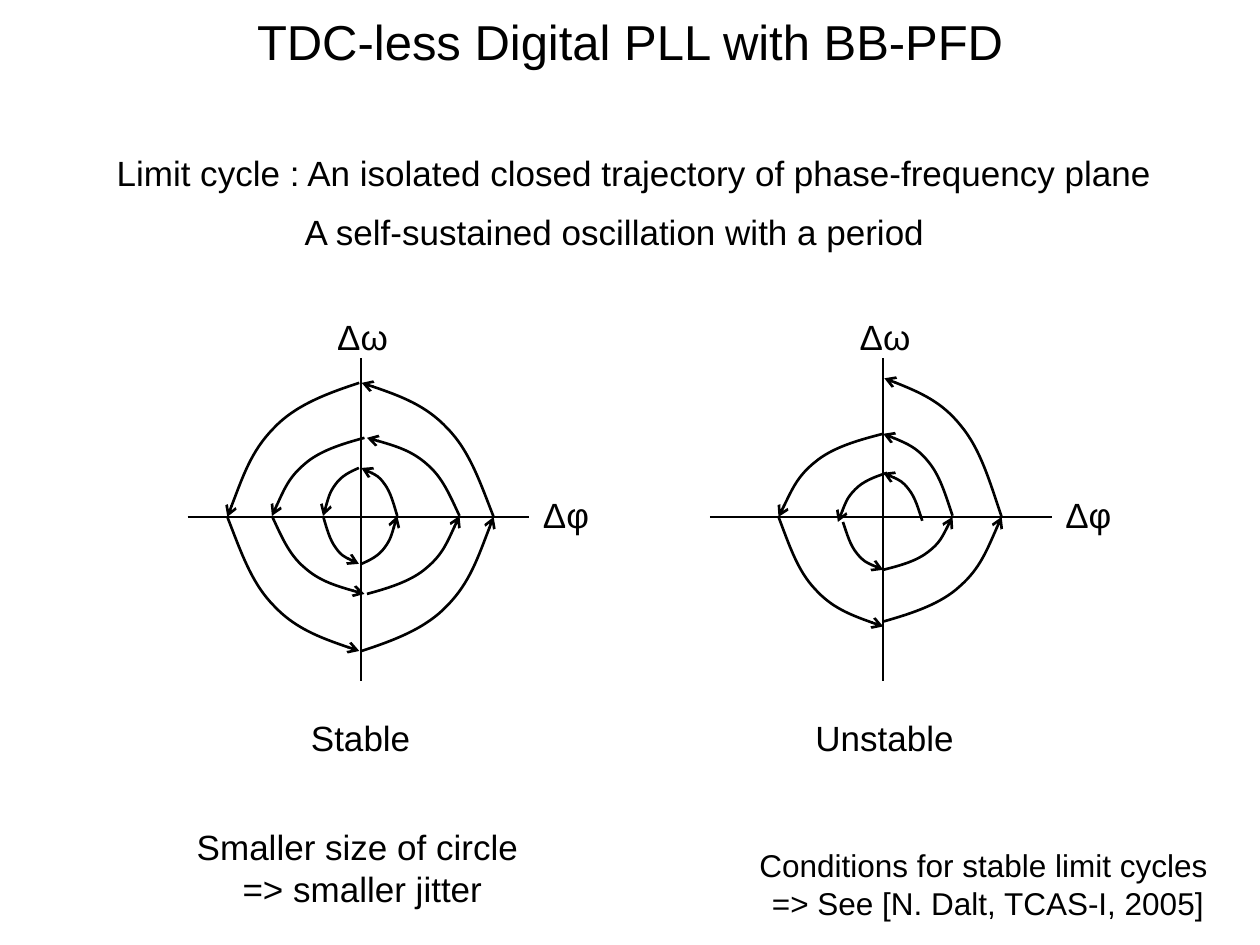
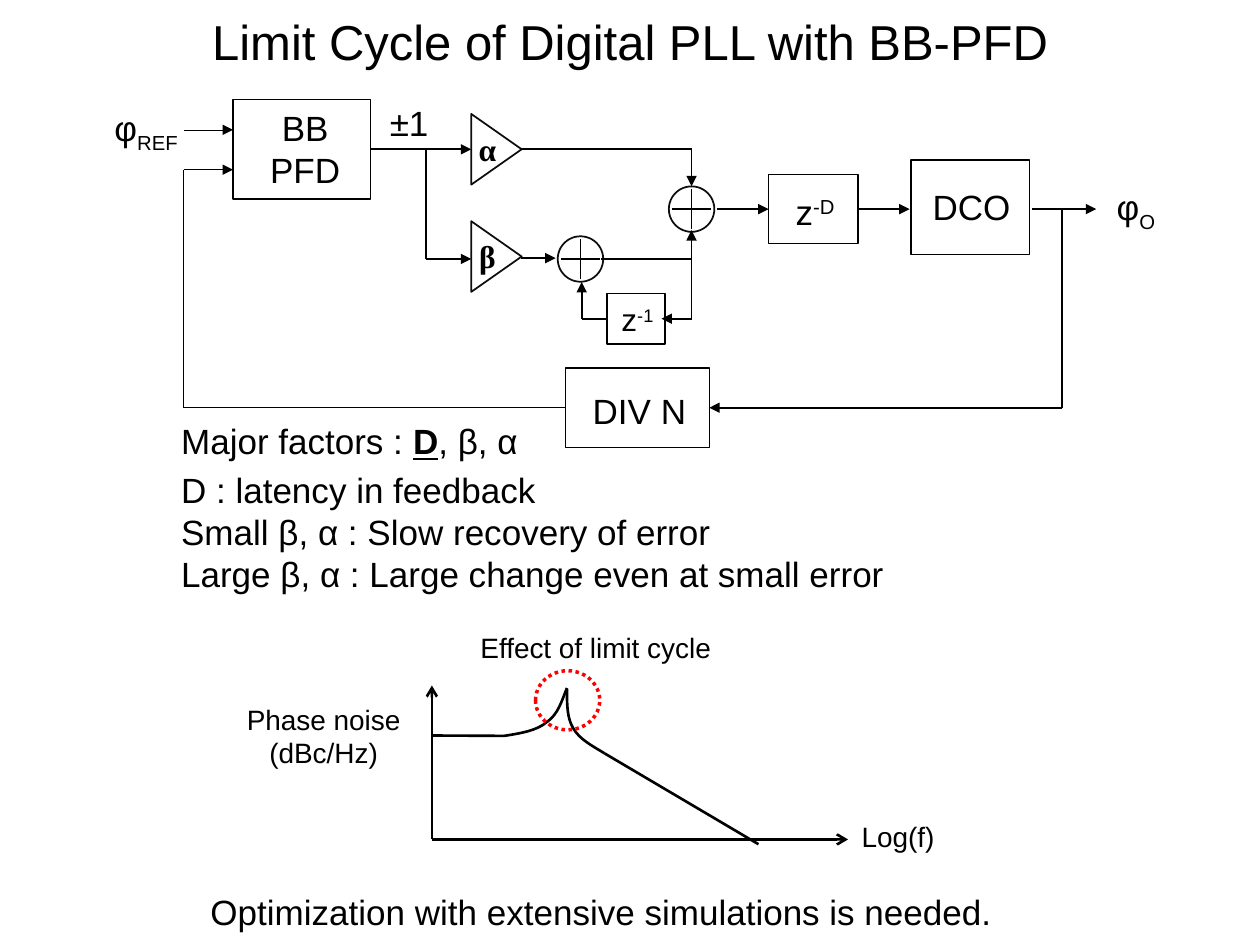
from lxml import etree
from pptx import Presentation
from pptx.dml.color import RGBColor
from pptx.enum.dml import MSO_LINE
from pptx.enum.shapes import MSO_CONNECTOR, MSO_SHAPE
from pptx.enum.text import MSO_ANCHOR, MSO_AUTO_SIZE, PP_ALIGN
from pptx.oxml.ns import qn
from pptx.util import Pt

BLACK = RGBColor(0, 0, 0)
INK = RGBColor(0x0D, 0x0D, 0x0D)
RED = RGBColor(0xFF, 0, 0)
SANS, SERIF = "Arial", "Times New Roman"
LEFT, CENTER = PP_ALIGN.LEFT, PP_ALIGN.CENTER
TOP, MIDDLE = MSO_ANCHOR.TOP, MSO_ANCHOR.MIDDLE
RECT, OVAL = MSO_SHAPE.RECTANGLE, MSO_SHAPE.OVAL
CONE = MSO_SHAPE.ISOSCELES_TRIANGLE
STRAIGHT, DOTS = MSO_CONNECTOR.STRAIGHT, MSO_LINE.ROUND_DOT
NO_FIT = MSO_AUTO_SIZE.NONE
W_SIDE, E_SIDE = 1, 3
SUB, SUPER = -25000, 30000
BEND = [(0, 0), (0.1, 0.25), (0.18, 0.49), (0.35, 0.66),
        (0.51, 0.83), (0.75, 0.92), (1, 1)]
MID = 295.4


def place(shape, x, y, w, h):
    shape.left, shape.top, shape.width, shape.height = Pt(x), Pt(y), Pt(w), Pt(h)


def style(par, size, align=CENTER, font=SANS, bold=None):
    par.alignment = align
    for run in par.runs:
        run.font.size, run.font.name = Pt(size), font
        run.font.color.rgb = BLACK
        if bold is not None:
            run.font.bold = bold


def shift(par, text, base):
    run = par.add_run()
    run.text = text
    run.font._element.set("baseline", str(base))


def stroke(shape, width, color=BLACK, tip=None):
    shape.line.color.rgb = color
    shape.line.width = Pt(width)
    if tip:
        ln = shape._element.spPr.find(qn("a:ln"))
        etree.SubElement(ln, qn("a:tailEnd")).set("type", tip)


def write(frame, text, size, align=CENTER, font=SANS, bold=None, mark=None):
    frame.text = text
    if mark:
        shift(frame.paragraphs[0], *mark)
    for par in frame.paragraphs:
        style(par, size, align, font, bold)


def label(slide, x, y, w, h, text, size=20, **looks):
    frame = slide.shapes.add_textbox(Pt(x), Pt(y), Pt(w), Pt(h)).text_frame
    frame.word_wrap = True
    write(frame, text, size, **looks)


def preset(slide, kind, x, y, w, h, width=1, color=INK):
    shape = slide.shapes.add_shape(kind, Pt(x), Pt(y), Pt(w), Pt(h))
    shape.shadow.inherit = False
    shape.fill.background()
    stroke(shape, width, color)
    return shape


def block(slide, x, y, w, h, text, dx, dy, size=20, width=0.75, mark=None):
    shape = preset(slide, RECT, x - w / 2, y - h / 2, w, h, width, BLACK)
    frame = shape.text_frame
    frame.margin_left, frame.margin_right = Pt(2 * dx), 0
    frame.margin_top, frame.margin_bottom = Pt(2 * dy), 0
    frame.vertical_anchor = MIDDLE
    write(frame, text, size, mark=mark)
    return shape


def wire(slide, start, end, width=1, tip=None, out=None, into=None):
    line = slide.shapes.add_connector(
        STRAIGHT, Pt(start[0]), Pt(start[1]), Pt(end[0]), Pt(end[1]))
    if out:
        line.begin_connect(out, E_SIDE if end[0] > start[0] else W_SIDE)
    if into:
        line.end_connect(into, W_SIDE if end[0] > start[0] else E_SIDE)
    stroke(line, width, tip=tip)
    etree.SubElement(line._element.spPr, qn("a:effectLst"))


def curve(slide, knots, tip=None):
    spots = [(Pt(x), Pt(y)) for x, y in knots]
    pen = slide.shapes.build_freeform(*spots[0])
    pen.add_line_segments(spots[1:], close=False)
    shape = pen.convert_to_shape()
    trail = next(shape._element.iter(qn("a:path")))
    legs = trail.findall(qn("a:lnTo"))
    for i in range(0, len(legs), 3):
        bend = etree.SubElement(trail, qn("a:cubicBezTo"))
        for leg in legs[i:i + 3]:
            bend.append(leg[0])
            trail.remove(leg)
    shape.shadow.inherit = False
    shape.fill.background()
    stroke(shape, 1.5, tip=tip)


def arc(slide, x, y, end_x, end_y):
    dx, dy = end_x - x, end_y - y
    knots = [(x + u * dx, y + v * dy) for u, v in BEND]
    curve(slide, knots if dx * dy > 0 else knots[::-1], "arrow")


def ring(slide, x, y, rx, ry):
    for sx in (1, -1):
        for sy in (1, -1):
            arc(slide, x + sx * rx, y, x + sx * 0.7, y + sy * ry)


def plane(slide, x, name, nudge=0):
    wire(slide, (x - 99, MID), (x + 96.2, MID))
    wire(slide, (x, 388.9), (x, 204.5))
    label(slide, x + 93.5, 278.6, 47.5, 31.7, "Δφ")
    label(slide, x - 22.7, 176.7, 47.5, 31.7, "Δω")
    label(slide, x - 72.8 + nudge, 406.1, 145.4, 31.7, name)


def adder(slide, x, y):
    preset(slide, OVAL, x - 13, y - 13, 26, 26)
    wire(slide, (x - 11, y), (x + 11, y))
    wire(slide, (x, y - 11.5), (x, y + 11.5))


def gain(slide, x, y, name):
    preset(slide, CONE, x - 20.2, y - 14.4, 40.4, 28.8).rotation = 90
    label(slide, x - 20.2, y - 14.7, 30, 26.6, name, 18, font=SERIF, bold=True)


def page(deck, title, box, lines, gap):
    slide = deck.slides.add_slide(deck.slide_layouts[1])
    head, body = slide.shapes.title, slide.placeholders[1]
    place(head, 0, 2.9, 720, 41)
    place(body, *box)
    head.text_frame.auto_size = body.text_frame.auto_size = NO_FIT
    write(head.text_frame, title, 28)
    frame = body.text_frame
    frame.vertical_anchor = TOP
    write(frame, "\n".join(lines), 20, LEFT)
    for par in frame.paragraphs:
        par.space_before = Pt(0)
        props = par._p.get_or_add_pPr()
        props.set("marL", "0")
        props.set("indent", "0")
        etree.SubElement(props, qn("a:buNone"))
    frame.paragraphs[1].space_before = Pt(gap)
    return slide, frame.paragraphs


def cycles(deck):
    slide, pars = page(
        deck, "TDC-less Digital PLL with BB-PFD", (59.4, 82.8, 629, 70),
        ["Limit cycle : An isolated closed trajectory of phase-frequency plane",
         "A self-sustained oscillation with a period"], 9.8)
    pars[1]._p.get_or_add_pPr().set("marL", str(Pt(107.5)))

    ox = 206.2
    plane(slide, ox, "Stable")
    ring(slide, ox - 0.2, MID, 76.1, 76.6)
    ring(slide, ox + 2.8, MID - 0.6, 53.6, 44.6)
    ring(slide, ox - 0.4, MID - 0.6, 21.2, 27.4)

    ox = 504.7
    plane(slide, ox, "Unstable", 0.9)
    for x, y, end_x, end_y in [
            (67.7, 0, 0.7, -79.2), (-59.8, 0, 0, -47.5), (67.7, 0, 0, 59.8),
            (-59.8, 0, 0, 62.6), (22.3, 2.2, 0, -25.2), (-23, 2.9, 0, 30.2),
            (39.6, -0.7, 0, -47.5), (-25.9, 2.9, 2.2, -25.2), (39.6, 0, 0, 30.2)]:
        arc(slide, ox + x, MID + y, ox + end_x, MID + end_y)

    label(slide, 59.8, 468.2, 294.5, 55.4, "Smaller size of circle \n=> smaller jitter")
    label(slide, 425.5, 479.9, 278, 51,
          "Conditions for stable limit cycles \n=> See [N. Dalt, TCAS-I, 2005]", 18)


def loop(slide):
    main, high, low, back, base = 119.5, 85.3, 148, 182.1, 233
    feed, tap, node, sink = 105, 243.4, 395.2, 606.8
    pfd = block(slide, 172.4, high, 78.5, 57, "BB\nPFD", 2, -0.5)
    lag = block(slide, 464.8, main, 51.1, 39.6, "z", 1, 1.2, mark=("-D", SUPER))
    block(slide, 554.4, 118.4, 67.7, 54, "DCO", 0.8, -0.4)
    div = block(slide, 364.3, base, 82.1, 45.4, "DIV N", 1.1, 1.3)
    unit = block(slide, 363.6, back, 33.1, 28.8, "z", 0.7, 0.4, 18, 1, ("-1", SUPER))
    gain(slide, 283.7, high, "α")
    gain(slide, 283.7, low - 1.4, "β")
    adder(slide, node, main)
    adder(slide, 331.7, low)

    tip = "triangle"
    wire(slide, (feed, 74.2), (133.2, 74.2), 0.25, tip)
    wire(slide, (feed, 97), (133.2, 97), 0.25, tip)
    wire(slide, (feed, 97), (feed, base), 0.75)
    wire(slide, (323, base), (feed, base), 0.75, out=div)
    wire(slide, (sink, main), (sink, base), 0.75)
    wire(slide, (sink, base), (405, base), 1, tip, into=div)
    wire(slide, (211, high), (269.3, high), 1, tip, out=pfd)
    wire(slide, (tap, high), (tap, low))
    wire(slide, (tap, low), (269.3, low), 1, tip)
    wire(slide, (298, high), (node, high))
    wire(slide, (node, high), (node, main - 13), 1, tip)
    wire(slide, (298, low - 0.5), (317.5, low - 0.5), 1, tip)
    wire(slide, (343.4, low), (node, low))
    wire(slide, (node, back), (node, main + 12), 1, tip)
    wire(slide, (node, back), (378, back), 1, tip)
    wire(slide, (347, back), (332.4, back), out=unit)
    wire(slide, (332.4, back), (332.4, low + 13.2), 1, tip)
    wire(slide, (409.7, main), (439, main), 1, tip, into=lag)
    wire(slide, (490, main), (519.8, main), 1, tip, out=lag)
    wire(slide, (589.7, main), (626.4, main), 1, tip)

    label(slide, 626.4, 102.7, 45.4, 31.7, "φ", mark=("O", SUB))
    label(slide, 56.5, 57.6, 54, 31.7, "φ", mark=("REF", SUB))
    label(slide, 209.7, 54.7, 48.2, 31.7, "±1")


def noise(slide):
    x, y = 246.8, 479.7
    wire(slide, (x, y), (484.6, y), 1.5, "arrow")
    wire(slide, (x, y), (x, 391.7), 1.5, "arrow")
    wire(slide, (x, 420.3), (288, 420.5), 1.5)
    curve(slide, [(288, 420.5), (297.4, 419), (306.7, 417.6), (312.5, 412.6),
                  (319, 408.2), (321.1, 400.3), (324, 393.1)])
    curve(slide, [(345.6, 430.6), (338.4, 426.2), (331.2, 422.6), (327.6, 416.2),
                  (324, 410.4), (324, 402.5), (324, 393.8)])
    wire(slide, (345.6, 430.6), (433.4, 482.4), 1.5)
    halo = preset(slide, OVAL, 306, 383.3, 36.7, 33.8, 2, RED)
    halo.line.dash_style = DOTS
    label(slide, 128.2, 397.7, 113.5, 46, "Phase noise\n(dBc/Hz)", 16)
    label(slide, 480.2, 464.6, 66, 26.6, "Log(f)", 16)
    label(slide, 260, 356.7, 161, 26.6, "Effect of limit cycle", 16)


def effects(deck):
    slide, pars = page(
        deck, "Limit Cycle of Digital PLL with BB-PFD", (96.3, 236.2, 476, 108),
        ["Major factors : ", "D : latency in feedback",
         "Small β, α : Slow recovery of error",
         "Large β, α : Large change even at small error"], 4)
    key, rest = pars[0].add_run(), pars[0].add_run()
    key.text, rest.text = "D", ", β, α"
    style(pars[0], 20, LEFT)
    key.font.bold = key.font.underline = True
    loop(slide)
    noise(slide)
    label(slide, 113.2, 505.4, 502, 31.7,
          "Optimization with extensive simulations is needed.", align=LEFT)


def main():
    deck = Presentation()
    deck.slide_width, deck.slide_height = Pt(720), Pt(540)
    cycles(deck)
    effects(deck)
    deck.save("out.pptx")


if __name__ == "__main__":
    main()
